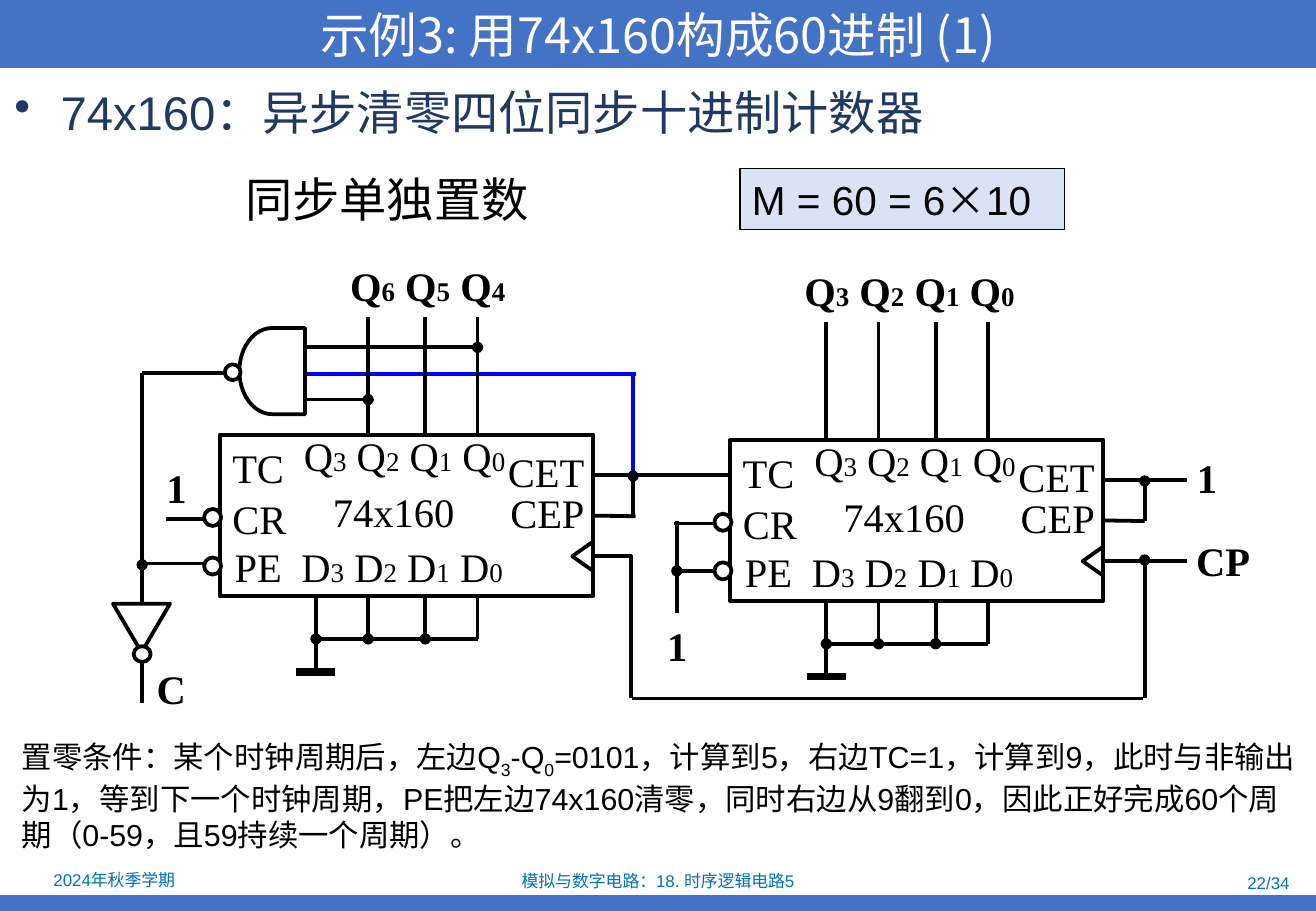
from dataclasses import dataclass

from lxml import etree
from pptx import Presentation
from pptx.dml.color import RGBColor
from pptx.enum import shapes, text
from pptx.oxml import ns
from pptx.util import Inches, Pt


@dataclass(frozen=True)
class Theme:
    band: str = "4472C4"
    heading: str = "203864"
    footer: str = "0070C0"
    panel: str = "DAE3F3"
    ink: str = "000000"
    paper: str = "FFFFFF"
    carry: str = "0000FF"
    sans: str = "Arial"
    cjk: str = "Noto Sans CJK SC"
    serif: str = "Times New Roman"
    title_size: float = 28.8
    heading_size: float = 28
    pin_size: float = 24
    index_size: float = 16
    note_size: float = 18
    footer_size: float = 10
    wire: float = 2.25
    ground: float = 4.5


T = Theme()
LEFT, CENTER, RIGHT = text.PP_ALIGN.LEFT, text.PP_ALIGN.CENTER, text.PP_ALIGN.RIGHT
SUB = {"baseline": -25000}


def indexed(letter, digits):
    """Runs such as Q3 Q2 Q1, each digit smaller than its letter."""
    runs = []
    for i, digit in enumerate(digits):
        runs += [((" " if i else "") + letter, {"size": T.pin_size}),
                 (digit, {"size": T.index_size})]
    return runs


TITLE = "示例3: 用74x160构成60进制 (1)"
HEADING = "74x160：异步清零四位同步十进制计数器"
METHOD = "同步单独置数"
MODULUS = [("M = 60 = 6", {"font": T.sans}), ("×", {"font": T.cjk}), ("10", {"font": T.sans})]
NOTE = [("置零条件：某个时钟周期后，左边Q", {}), ("3", SUB), ("-Q", {}), ("0", SUB),
        ("=0101，计算到5，右边TC=1，计算到9，此时与非输出为1，等到下一个时钟周期，"
         "PE把左边74x160清零，同时右边从9翻到0，因此正好完成60个周期（0-59，且59持续一个周期）。", {})]
FOOTERS = [("2024年秋季学期", 0.02, 7.13, 1.84, CENTER),
           ("模拟与数字电路：18. 时序逻辑电路5", 3.7, 7.14, 3.43, CENTER),
           ("22/34", 8.18, 7.16, 2.53, RIGHT)]

# Chip: left, top, number of output wires
CHIPS = [(1.81, 3.58, 3), (6.01, 3.62, 4)]
CHIP_W, CHIP_H = 3.07, 1.33
COLUMNS = [0.79, 1.22, 1.69, 2.12]
# Pin: runs, left and top within the chip, width
PINS = [("TC", 0, 0.02, 0.63), ("CR", 0, 0.44, 0.65), ("PE", 0.02, 0.83, 0.59),
        ("CET", 2.27, 0.05, 0.83), ("CEP", 2.29, 0.39, 0.81), ("74x160", 0.83, 0.38, 1.2),
        (indexed("Q", "3210"), 0.59, -0.08, 1.86), (indexed("D", "3210"), 0.57, 0.83, 1.86)]
# Signal: runs, left, top, width, height
SIGNALS = [("1", 1.37, 3.83, 0.16, 0.36), ("1", 5.49, 5.13, 0.16, 0.36),
           ("1", 9.85, 3.75, 0.16, 0.36), ("CP", 9.77, 4.43, 0.59, 0.36),
           ("C", 1.29, 5.49, 0.24, 0.36),
           (indexed("Q", "654"), 2.78, 2.1, 1.48, 0.5),
           (indexed("Q", "3210"), 6.52, 2.14, 1.93, 0.5)]
# Wire: start x, start y, end x, end y
CARRY_WIRES = [(5.21, 3.08, 5.21, 3.91), (2.51, 3.08, 5.23, 3.08)]
PLAIN_WIRES = [(1.17, 4.64, 1.81, 4.64), (1.37, 4.27, 1.8, 4.27), (1.17, 3.07, 1.84, 3.07),
               (1.17, 4.63, 1.17, 3.07), (4.87, 3.91, 6.01, 3.91), (4.87, 4.58, 5.2, 4.58),
               (5.19, 4.57, 5.19, 5.75), (5.2, 5.75, 9.41, 5.75), (5.55, 4.31, 6, 4.31),
               (5.57, 5.05, 5.57, 4.29), (9.08, 3.95, 9.77, 3.95), (9.08, 4.62, 9.77, 4.62)]
DOTTED_WIRES = [(2.51, 2.86, 3.93, 2.86), (2.51, 3.29, 3.03, 3.29), (1.17, 5.79, 1.17, 4.65),
                (5.21, 4.25, 5.21, 3.92), (6, 4.7, 5.57, 4.7), (9.42, 4.29, 9.42, 3.96),
                (9.42, 5.75, 9.42, 4.61)]
CEP_JOINS = [(5.23, 4.25), (9.42, 4.29)]

deck = Presentation()
deck.slide_width, deck.slide_height = Inches(10.83), Inches(7.5)
slide = deck.slides.add_slide(deck.slide_layouts[5])


def rgb(value):
    return RGBColor.from_string(value)


def write(frame, runs, size, font=None, color=T.ink, align=LEFT, bold=False, bullet=False):
    """Fill a text frame with one paragraph; runs is a string or (text, style) pairs."""
    paragraph = frame.paragraphs[0]
    paragraph.alignment = align
    if bullet:
        props = paragraph._p.get_or_add_pPr()
        props.set("marL", str(Inches(0.38)))
        props.set("indent", str(Inches(-0.38)))
        etree.SubElement(props, ns.qn("a:buChar")).set("char", "•")
    paragraph.font.color.rgb = rgb(color)
    paragraph.font.bold = bold
    if font:
        paragraph.font.name = font
    pairs = [(runs, {})] if isinstance(runs, str) else runs
    if not any("size" in style for _, style in pairs):
        paragraph.font.size = Pt(size)
    for words, style in pairs:
        run = paragraph.add_run()
        run.text = words
        if "size" in style:
            run.font.size = Pt(style["size"])
        if "font" in style:
            run.font.name = style["font"]
        if "baseline" in style:
            run._r.get_or_add_rPr().set("baseline", str(style["baseline"]))
    return paragraph


def text_box(runs, left, top, width, height, size, font=T.sans, wrap=True, middle=False,
             inset=None, **look):
    box = slide.shapes.add_textbox(*map(Inches, (left, top, width, height)))
    frame = box.text_frame
    frame.word_wrap = wrap
    if middle:
        frame.vertical_anchor = text.MSO_ANCHOR.MIDDLE
    if inset is not None:
        frame.margin_left = frame.margin_right = Inches(inset)
        frame.margin_top = frame.margin_bottom = Inches(inset)
    return write(frame, runs, size, font, **look)


def label(runs, left, top, width, height=0.5, bold=False):
    return text_box(runs, left, top, width, height, T.pin_size, T.serif, wrap=False,
                    middle=True, inset=0, align=CENTER, bold=bold)


def outline(shape, fill=None, line=T.ink, weight=T.wire):
    shape.shadow.inherit = False
    if fill:
        shape.fill.solid()
        shape.fill.fore_color.rgb = rgb(fill)
    else:
        shape.fill.background()
    if line:
        shape.line.color.rgb = rgb(line)
        shape.line.width = Pt(weight)
    else:
        shape.line.fill.background()
    return shape


def block(preset, left, top, width, height, fill=T.paper, **look):
    kind = getattr(shapes.MSO_SHAPE, preset)
    return outline(slide.shapes.add_shape(kind, *map(Inches, (left, top, width, height))),
                   fill, **look)


def wire(x1, y1, x2, y2, dot=False, color=T.ink, weight=T.wire):
    """Draw a wire; dot puts a junction at its end."""
    line = slide.shapes.add_connector(shapes.MSO_CONNECTOR.STRAIGHT,
                                      *map(Inches, (x1, y1, x2, y2)))
    line.line.color.rgb = rgb(color)
    line.line.width = Pt(weight)
    if dot:
        etree.SubElement(line.line._get_or_add_ln(), ns.qn("a:tailEnd")).set("type", "oval")
    etree.SubElement(line._element.spPr, ns.qn("a:effectLst"))
    return line


def draw_chip(left, top, outputs, cep_join):
    bottom, bus = top + CHIP_H, top + 1.68
    xs = [left + column for column in COLUMNS]
    for x in xs[-outputs:]:
        wire(x, top, x, top - 0.97)
    for i, x in enumerate(xs):
        wire(x, bottom, x, bus, dot=0 < i < 3)
    wire(xs[-1], bus, xs[0], bus, dot=True)
    wire(xs[0], bus, xs[0], top + 1.95)
    wire(xs[0] - 0.16, top + 1.95, xs[0] + 0.16, top + 1.95, weight=T.ground)
    body = block("RECTANGLE", left, top, CHIP_W, CHIP_H, fill=None)
    wire(left + CHIP_W, top + CHIP_H / 2, *cep_join).begin_connect(body, 3)
    edge, tip = Inches(left + CHIP_W), Inches(left + 2.9)
    clock = slide.shapes.build_freeform(edge, Inches(top + 0.88))
    clock.add_line_segments([(tip, Inches(top + 1)), (edge, Inches(top + 1.12))], close=False)
    outline(clock.convert_to_shape())
    for y in (0.61, 1.01):
        block("OVAL", left - 0.13, top + y, 0.14, 0.14)
    for runs, x, y, width in PINS:
        label(runs, left + x, top + y, width)


title = slide.shapes.title
title.left, title.top, title.width, title.height = map(Inches, (0, 0, 10.83, 0.56))
title.fill.solid()
title.fill.fore_color.rgb = rgb(T.band)
title.text_frame.vertical_anchor = text.MSO_ANCHOR.MIDDLE
write(title.text_frame, TITLE, T.title_size, T.cjk, T.paper, CENTER)

block("RECTANGLE", 0, 7.37, 10.83, 0.13, fill=T.band, line=None)
for words, left, top, width, align in FOOTERS:
    text_box(words, left, top, width, 0.22, T.footer_size, middle=True,
             color=T.footer, align=align)
text_box(HEADING, 0.02, 0.64, 10.81, 0.6, T.heading_size, color=T.heading, bullet=True)
text_box(METHOD, 1.92, 1.35, 2.55, 0.57, T.heading_size, wrap=False)
modulus = block("RECTANGLE", 6.09, 1.39, 2.67, 0.5, fill=T.panel, weight=0.75)
write(modulus.text_frame, MODULUS, T.pin_size)

for ends in CARRY_WIRES:
    wire(*ends, color=T.carry)
for ends in PLAIN_WIRES:
    wire(*ends)
for ends in DOTTED_WIRES:
    wire(*ends, dot=True)
for chip, join in zip(CHIPS, CEP_JOINS):
    draw_chip(*chip, join)

block("FLOWCHART_DELAY", 1.97, 2.7, 0.54, 0.71).rotation = 180
block("OVAL", 1.85, 3, 0.13, 0.13)
block("FLOWCHART_MERGE", 0.93, 4.97, 0.47, 0.4)
block("OVAL", 1.1, 5.32, 0.14, 0.13)
for signal in SIGNALS:
    label(*signal, bold=True)
text_box(NOTE, 0.08, 6.03, 10.73, 1.01, T.note_size)

deck.save("out.pptx")
